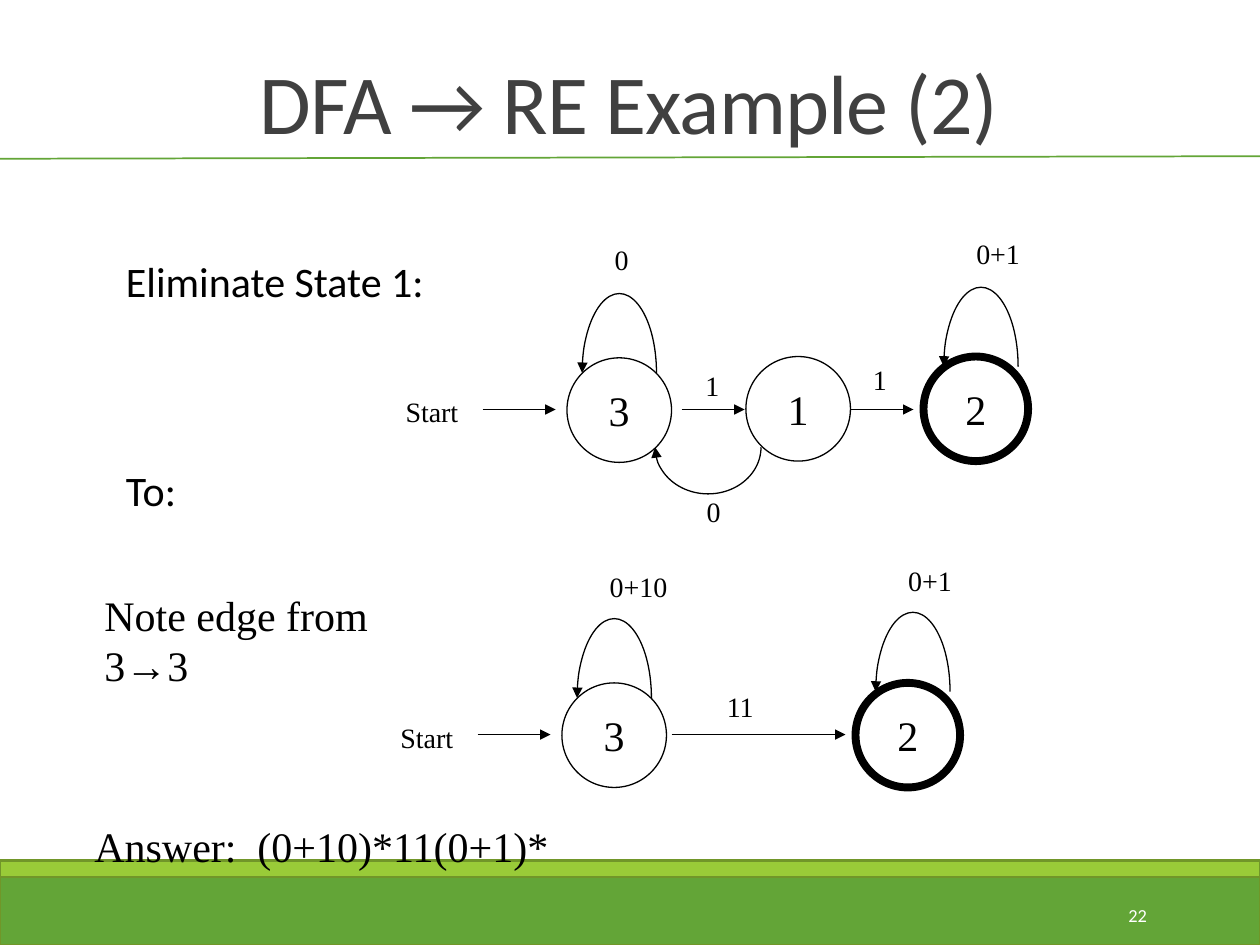
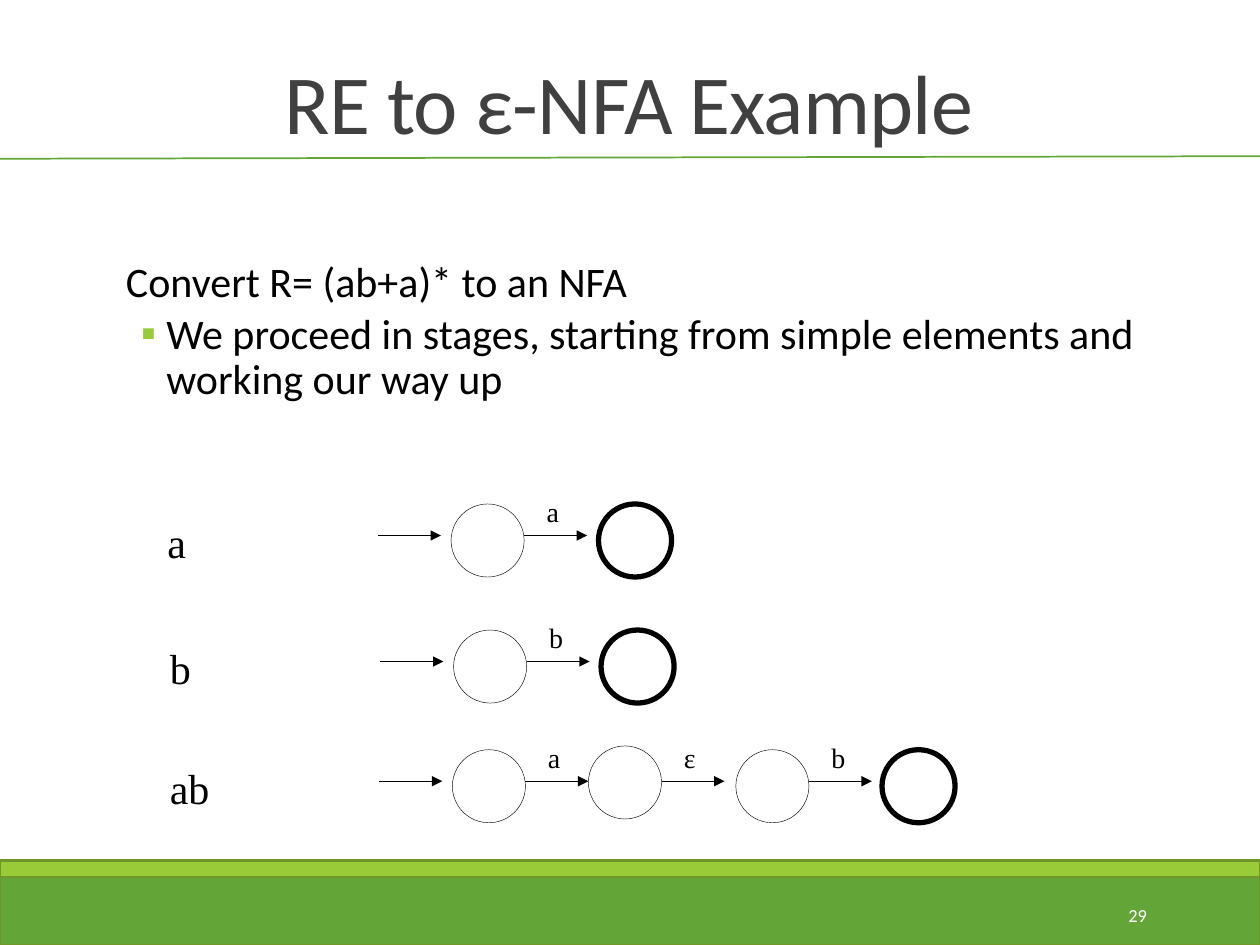
from dataclasses import dataclass

from lxml.etree import SubElement
from pptx import Presentation
from pptx.dml.color import RGBColor
from pptx.enum.shapes import MSO_CONNECTOR, MSO_SHAPE
from pptx.enum.text import MSO_ANCHOR, PP_ALIGN
from pptx.oxml.ns import qn
from pptx.util import Inches, Pt


@dataclass(frozen=True)
class Theme:
    green: RGBColor = RGBColor(0x63, 0xA5, 0x37)
    lime: RGBColor = RGBColor(0x99, 0xCB, 0x38)
    band_edge: RGBColor = RGBColor(0x71, 0x96, 0x29)
    title: RGBColor = RGBColor(0x40, 0x40, 0x40)
    ink: RGBColor = RGBColor(0, 0, 0)
    paper: RGBColor = RGBColor(255, 255, 255)
    sans: str = "Calibri"
    serif: str = "Times New Roman"
    title_size: float = 48
    text_size: float = 24
    label_size: float = 16
    number_size: float = 10.5
    thin: float = 0.75
    hairline: float = 0.25


THEME = Theme()
STATE_SIZE = 0.83
NODE_SIZE = 0.58
LOOP_WIDTH = 0.59
LOOP_RISE = 0.63


def apply(target, values):
    for name, value in values.items():
        setattr(target, name, value)


def set_font(paragraph, size, color=THEME.ink, name=THEME.serif):
    apply(paragraph.font, {"size": Pt(size), "name": name})
    paragraph.font.color.rgb = color


def set_line(shape, color, weight):
    shape.line.color.rgb = color
    shape.line.width = Pt(weight)


def add_arrowhead(shape, end="tailEnd"):
    SubElement(shape.line._get_or_add_ln(), qn(f"a:{end}"), type="triangle")


def add_text(slide, box, text, size=THEME.text_size, color=THEME.ink,
             name=THEME.serif, frame=None, paragraph_format=None):
    text_box = slide.shapes.add_textbox(*map(Inches, box))
    text_frame = text_box.text_frame
    apply(text_frame, {"word_wrap": True, **(frame or {})})
    paragraph = text_frame.paragraphs[0]
    paragraph.text = text
    apply(paragraph, paragraph_format or {})
    set_font(paragraph, size, color, name)
    return paragraph


def add_label(slide, left, top, text, size=THEME.label_size, width=None):
    """Add serif text in a box wide enough for its characters."""
    width = width or 0.25 + 0.007 * size * len(text)
    add_text(slide, (left, top, width, 0.02 * size + 0.04), text, size)


def add_straight(slide, start, end, color=THEME.ink, weight=THEME.thin):
    connector = slide.shapes.add_connector(
        MSO_CONNECTOR.STRAIGHT, *map(Inches, (*start, *end)))
    set_line(connector, color, weight)
    SubElement(connector._element.spPr, qn("a:effectLst"))
    return connector


def add_arrow(slide, left, right, y):
    add_arrowhead(add_straight(slide, (left, y), (right, y)))


def add_outline(slide, preset, box, weight):
    shape = slide.shapes.add_shape(preset, *map(Inches, box))
    shape.shadow.inherit = False
    shape.fill.background()
    set_line(shape, THEME.ink, weight)
    return shape


def add_state(slide, left, top, text="", size=STATE_SIZE, weight=THEME.thin):
    state = add_outline(slide, MSO_SHAPE.OVAL, (left, top, size, size), weight)
    if not text:
        return
    margins = dict.fromkeys(
        ("margin_left", "margin_right", "margin_top", "margin_bottom"), 0)
    apply(state.text_frame, {"word_wrap": False,
                             "vertical_anchor": MSO_ANCHOR.MIDDLE, **margins})
    paragraph = state.text_frame.paragraphs[0]
    apply(paragraph, {"text": text, "alignment": PP_ALIGN.CENTER})
    set_font(paragraph, THEME.text_size)


def add_loop(slide, left, base):
    """Arch above a state, pointing down at its left foot."""
    arc = add_outline(slide, MSO_SHAPE.ARC,
                      (left, base - LOOP_RISE, LOOP_WIDTH, 2 * LOOP_RISE), THEME.thin)
    arc.adjustments[0], arc.adjustments[1] = 108, 0
    add_arrowhead(arc, "headEnd")


def add_return_edge(slide, left, top, width, depth):
    """Arc hanging below two states, pointing up at its left end."""
    arc = add_outline(slide, MSO_SHAPE.ARC,
                      (left, top - depth, width, 2 * depth), THEME.thin)
    arc.adjustments[0], arc.adjustments[1] = 0, 108
    add_arrowhead(arc)


def add_band(slide, top, height, color):
    band = slide.shapes.add_shape(
        MSO_SHAPE.RECTANGLE, *map(Inches, (0, top, 10, height)))
    band.shadow.inherit = False
    band.fill.solid()
    band.fill.fore_color.rgb = color
    set_line(band, THEME.band_edge, 1.25)


def add_base_slide(presentation, title, number):
    slide = presentation.slides.add_slide(presentation.slide_layouts[6])
    add_band(slide, 6.92, 0.58, THEME.green)
    add_band(slide, 6.83, 0.13, THEME.lime)
    add_straight(slide, (-0.03, 1.26), (10, 1.24), THEME.green, 1)
    heading = add_text(slide, (0.49, 0.25, 9, 1), title, THEME.title_size,
                       THEME.title, THEME.sans,
                       {"vertical_anchor": MSO_ANCHOR.BOTTOM},
                       {"alignment": PP_ALIGN.CENTER, "line_spacing": 0.85})
    heading.runs[0].font._element.set("spc", "-50")
    add_text(slide, (8.12, 7.06, 1.08, 0.4), number, THEME.number_size,
             THEME.paper, THEME.sans, {"vertical_anchor": MSO_ANCHOR.MIDDLE},
             {"alignment": PP_ALIGN.RIGHT})
    return slide


def add_body(slide, first):
    return add_text(slide, (1, 2.02, 8.1, 4.65), first, name=THEME.sans,
                    frame={"margin_left": 0, "margin_right": 0},
                    paragraph_format={"line_spacing": 0.9, "space_after": Pt(2)})


def add_body_paragraph(first, text, before, after, bullet=None):
    paragraph = first._parent.add_paragraph()
    paragraph.text = text
    apply(paragraph, {"line_spacing": 0.9, "space_before": Pt(before),
                      "space_after": Pt(after)})
    if bullet:
        properties = paragraph._p.get_or_add_pPr()
        properties.set("marL", str(Inches(0.32)))
        properties.set("indent", str(Inches(-0.2)))
        color = SubElement(properties, qn("a:buClr"))
        SubElement(color, qn("a:srgbClr"), val=str(THEME.lime))
        SubElement(properties, qn("a:buFont"), typeface=THEME.sans)
        SubElement(properties, qn("a:buChar"), char=bullet)
    set_font(paragraph, THEME.text_size, name=THEME.sans)


def build_elimination_slide(presentation):
    slide = add_base_slide(presentation, "DFA → RE Example (2)", "22")
    first = add_body(slide, "Eliminate State 1:")
    add_body_paragraph(first, "To:", 92, 2)

    for left, top, name, weight in (
            (4.5, 2.84, "3", THEME.thin), (5.92, 2.83, "1", THEME.thin),
            (7.33, 2.83, "2", 4.5), (4.46, 5.42, "3", THEME.thin),
            (6.79, 5.42, "2", 4.5)):
        add_state(slide, left, top, name, weight=weight)
    for left, right, y in (
            (3.83, 4.41, 3.25), (5.41, 5.91, 3.25), (6.75, 7.25, 3.25),
            (3.79, 4.37, 5.83), (5.33, 6.71, 5.83)):
        add_arrow(slide, left, right, y)
    for left, base in ((4.62, 2.96), (7.49, 2.91), (4.58, 5.54), (6.95, 5.49)):
        add_loop(slide, left, base)
    add_return_edge(slide, 5.2, 3.55, 0.84, 0.37)

    for left, top, text in (
            (3.12, 3.08, "Start"), (5.5, 2.88, "1"), (6.83, 2.83, "1"),
            (4.78, 1.88, "0"), (5.51, 3.88, "0"), (7.65, 1.83, "0+1"),
            (3.08, 5.67, "Start"), (5.67, 5.42, "11"),
            (4.74, 4.47, "0+10"), (7.11, 4.42, "0+1")):
        add_label(slide, left, top, text)
    add_label(slide, 0.73, 4.63, "Note edge from 3→3", THEME.text_size, 2.6)
    add_label(slide, 0.65, 6.46, "Answer:  (0+10)*11(0+1)*", THEME.text_size)


def add_chain(slide, arrow_y, symbols, nodes):
    """Row of states joined by labelled arrows; the last state accepts."""
    start = nodes[0][0] - NODE_SIZE
    for symbol, (left, top) in zip(["", *symbols], nodes):
        weight = 3 if (left, top) == nodes[-1] else THEME.hairline
        add_state(slide, left, top, size=NODE_SIZE, weight=weight)
        add_arrow(slide, start, start + 0.5, arrow_y)
        if symbol:
            add_label(slide, start + 0.08, arrow_y - 0.37, symbol)
        start = left + NODE_SIZE


def build_conversion_slide(presentation):
    slide = add_base_slide(presentation, "RE to ε-NFA Example", "29")
    first = add_body(slide, "Convert R= (ab+a)* to an NFA")
    add_body_paragraph(first, "We proceed in stages, starting from simple elements "
                       "and working our way up", 2, 4, "▪")
    for name, left, top, arrow_y, symbols, nodes in (
            ("a", 1.23, 4.05, 4.25, "a", [(3.58, 4), (4.75, 4)]),
            ("b", 1.25, 5.05, 5.25, "b", [(3.6, 5), (4.77, 5)]),
            ("ab", 1.25, 6, 6.2, "aεb",
             [(3.59, 5.95), (4.67, 5.92), (5.84, 5.95), (7, 5.95)])):
        add_label(slide, left, top, name, THEME.text_size)
        add_chain(slide, arrow_y, symbols, nodes)


def main():
    presentation = Presentation()
    apply(presentation, {"slide_width": Inches(10), "slide_height": Inches(7.5)})
    build_elimination_slide(presentation)
    build_conversion_slide(presentation)
    presentation.save("out.pptx")


if __name__ == "__main__":
    main()
